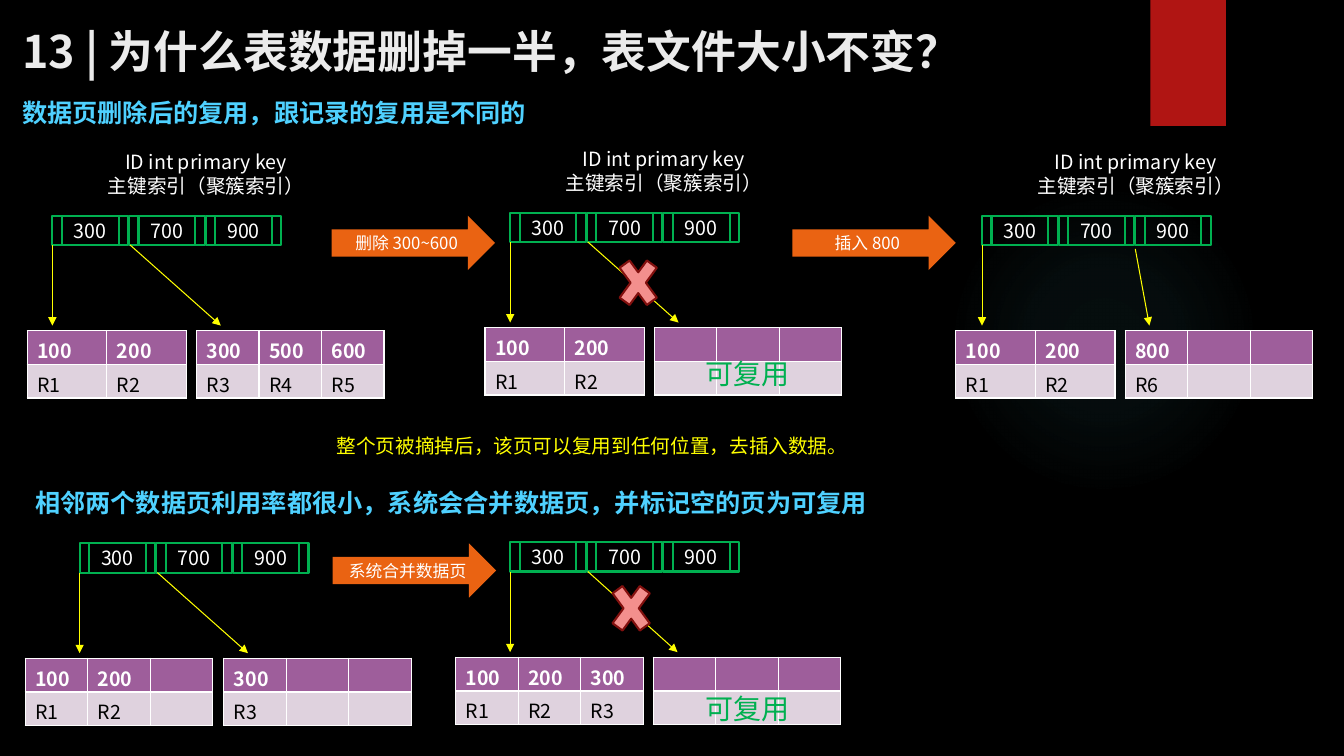
from dataclasses import dataclass

from lxml.etree import SubElement
from pptx import Presentation
from pptx.dml.color import RGBColor
from pptx.enum.shapes import MSO_CONNECTOR, MSO_SHAPE
from pptx.enum.text import MSO_ANCHOR, MSO_AUTO_SIZE, PP_ALIGN
from pptx.oxml import parse_xml
from pptx.oxml.ns import nsdecls, qn
from pptx.util import Pt

PX = 9144  # 100 px to the inch


@dataclass(frozen=True)
class Theme:
    font: str = "Noto Sans CJK SC"
    background: str = "000000"
    title: str = "EBEBEB"
    heading: str = "4FD1FF"
    white: str = "FFFFFF"
    black: str = "000000"
    yellow: str = "FFFF00"
    green: str = "00B050"
    orange: str = "EA6312"
    ribbon: str = "B01513"
    glow: str = "50B9C1"
    cross_fill: str = "F38F8D"
    cross_line: str = "82100E"
    header_row: str = "9E5E9B"
    record_row: str = "DFD2DE"
    title_size: int = 32
    reuse_size: int = 20
    heading_size: int = 18
    text_size: int = 14
    step_size: int = 12


THEME = Theme()
NODE_PITCH = 76
KEY_LABEL = "ID int primary key\n主键索引（聚簇索引）"

# Index position, then left edge and (key, record) columns of both leaf pages.
FIRST_PAGE = [("100", "R1"), ("200", "R2")]
EMPTY_PAGE = [("", "")] * 3
TREES = [
    ((52, 214), (27, FIRST_PAGE), (195, [("300", "R3"), ("500", "R4"), ("600", "R5")])),
    ((506, 211), (481, FIRST_PAGE), (649, EMPTY_PAGE)),
    ((974, 214), (948, FIRST_PAGE), (1116, [("800", "R6"), ("", ""), ("", "")])),
    ((79, 539), (25, FIRST_PAGE + [("", "")]), (222, [("300", "R3"), ("", ""), ("", "")])),
    ((506, 538), (452, FIRST_PAGE + [("300", "R3")]), (648, EMPTY_PAGE)),
]


def place(*lengths):
    return [length * PX for length in lengths]


def rgb(value):
    return RGBColor.from_string(value)


def write(frame, text, size, color, bold=False, align=PP_ALIGN.LEFT):
    frame.text = text
    for para in frame.paragraphs:
        para.alignment = align
        font = para.font
        font.size, font.bold = Pt(size), bold
        font.color.rgb = rgb(color)
        font.name = THEME.font
        SubElement(font._element, qn("a:ea"), typeface=THEME.font)
        if not para.runs:
            SubElement(para._p, qn("a:endParaRPr"), sz=str(size * 100))


def add_text(page, at, text, size, color, bold=False, align=PP_ALIGN.LEFT):
    box = page.shapes.add_textbox(*place(*at))
    box.text_frame.word_wrap = True
    write(box.text_frame, text, size, color, bold, align)


def add_figure(page, kind, at, fill=None, line=None, text="", size=THEME.text_size):
    shape = page.shapes.add_shape(kind, *place(*at))
    shape.shadow.inherit = False
    if fill:
        shape.fill.solid()
        shape.fill.fore_color.rgb = rgb(fill)
    else:
        shape.fill.background()
    if line:
        shape.line.color.rgb = rgb(line)
        shape.line.width = Pt(1.5)
    else:
        shape.line.fill.background()
    if text:
        frame = shape.text_frame
        frame.word_wrap = False
        frame.vertical_anchor = MSO_ANCHOR.MIDDLE
        write(frame, text, size, THEME.white, align=PP_ALIGN.CENTER)
    return shape


def add_glow(page):
    """Faint round light that fades out towards its edge."""
    glow = add_figure(page, MSO_SHAPE.OVAL, (941, 183, 308, 308))
    stops = "".join(
        f'<a:gs pos="{position * 1000}"><a:srgbClr val="{THEME.glow}">'
        f'<a:alpha val="{alpha * 1000}"/></a:srgbClr></a:gs>'
        for position, alpha in [(0, 7), (36, 6), (69, 0), (100, 0)]
    )
    gradient = parse_xml(
        f'<a:gradFill {nsdecls("a")}><a:gsLst>{stops}</a:gsLst><a:path path="circle">'
        '<a:fillToRect l="50000" t="50000" r="50000" b="50000"/></a:path></a:gradFill>'
    )
    properties = glow._element.spPr
    properties.replace(properties.find(qn("a:noFill")), gradient)


def add_pointer(page, start, end):
    pointer = page.shapes.add_connector(MSO_CONNECTOR.STRAIGHT, *place(*start, *end))
    pointer.line.color.rgb = rgb(THEME.yellow)
    pointer.line.width = Pt(0.75)
    SubElement(pointer.line._get_or_add_ln(), qn("a:tailEnd"), type="triangle")
    SubElement(pointer._element.spPr, qn("a:effectLst"))


def add_leaf(page, left, top, records):
    """Data page: a row of keys above a row of records."""
    column_width = 79 if len(records) == 2 else 62
    size = place(left, top, column_width * len(records), 67)
    table = page.shapes.add_table(2, len(records), *size).table
    for column, pair in enumerate(records):
        for row, text in enumerate(pair):
            cell = table.cell(row, column)
            cell.margin_bottom = 0
            cell.fill.solid()
            cell.fill.fore_color.rgb = rgb((THEME.header_row, THEME.record_row)[row])
            write(cell.text_frame, text, THEME.text_size,
                  (THEME.white, THEME.black)[row], bold=row == 0)


def add_tree(page, index, first, second):
    left, top = index
    for position, key in enumerate(("300", "700", "900")):
        add_figure(page, MSO_SHAPE.FLOWCHART_PREDEFINED_PROCESS,
                   (left + position * NODE_PITCH, top, 75, 29), line=THEME.green, text=key)
    for leaf_left, records in (first, second):
        add_leaf(page, leaf_left, top + 114, records)
    add_pointer(page, (left, top + 29), (left, top + 109))
    if second[1][0][0] == "800":
        add_pointer(page, (left + 152, top + 33), (left + 166, top + 109))
    else:
        add_pointer(page, (left + 77, top + 29), (second[0] + 24, top + 109))


def add_title(page, text):
    title = page.shapes.title
    title.left, title.top, title.width, title.height = place(12, 17, 1219, 66)
    frame = title.text_frame
    frame.auto_size = MSO_AUTO_SIZE.NONE
    frame.vertical_anchor = MSO_ANCHOR.MIDDLE
    write(frame, text, THEME.title_size, THEME.title, bold=True)


def main():
    deck = Presentation()
    deck.slide_width, deck.slide_height = place(1333, 750)
    page = deck.slides.add_slide(deck.slide_layouts[5])
    page.background.fill.solid()
    page.background.fill.fore_color.rgb = rgb(THEME.background)

    add_glow(page)
    add_figure(page, MSO_SHAPE.RECTANGLE, (1141, 0, 75, 125), fill=THEME.ribbon)
    add_title(page, "13 | 为什么表数据删掉一半，表文件大小不变？")
    for at, text in [
        ((12, 92, 525, 40), "数据页删除后的复用，跟记录的复用是不同的"),
        ((25, 479, 853, 40), "相邻两个数据页利用率都很小，系统会合并数据页，并标记空的页为可复用"),
    ]:
        add_text(page, at, text, THEME.heading_size, THEME.heading, bold=True)
    add_text(page, (324, 426, 744, 34), "整个页被摘掉后，该页可以复用到任何位置，去插入数据。",
             THEME.text_size, THEME.yellow)

    for tree in TREES:
        add_tree(page, *tree)
    for (left, top), *_ in TREES[:3]:
        add_text(page, (left + 44, top - 70, 217, 57), KEY_LABEL,
                 THEME.text_size, THEME.white, align=PP_ALIGN.CENTER)
    for left, top, step in [(329, 214, "删除 300~600"), (786, 214, "插入 800"),
                            (330, 539, "系统合并数据页")]:
        add_figure(page, MSO_SHAPE.RIGHT_ARROW, (left, top, 162, 54),
                   fill=THEME.orange, text=step, size=THEME.step_size)
    for left, top in [(607, 245), (600, 568)]:
        add_figure(page, MSO_SHAPE.MATH_MULTIPLY, (left, top, 52, 71),
                   fill=THEME.cross_fill, line=THEME.cross_line)
    for top in (349, 681):
        add_text(page, (690, top, 107, 44), "可复用", THEME.reuse_size, THEME.green)
    deck.save("out.pptx")


if __name__ == "__main__":
    main()
